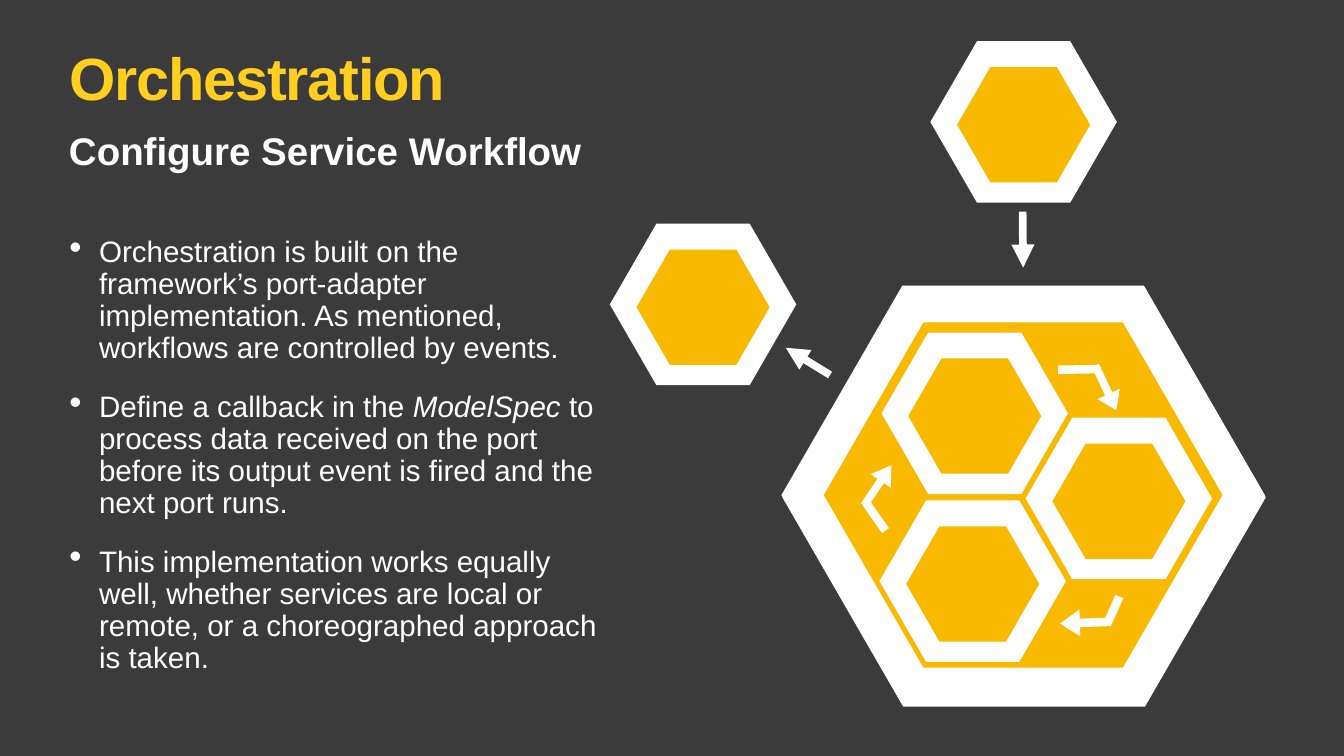
import pptx
import pptx.util
import pptx.dml.color
import pptx.enum.shapes
import pptx.enum.text
import pptx.oxml.ns
from lxml import etree

Pt = pptx.util.Pt
Shape = pptx.enum.shapes.MSO_SHAPE
Anchor = pptx.enum.text.MSO_ANCHOR

COLORS = {"back": "3B3B3B", "title": "FFCE1E", "white": "FFFFFF", "honey": "F9B900"}
TEXT_LEFT, TEXT_WIDTH = 95, 770
HEX_RATIO = 3 ** 0.5 / 2  # height to width of a regular hexagon
CELL_WIDTH, CORE_WIDTH, CORE_DROP = 266.4, 190, 4

BULLETS = [
    [("Orchestration is built on the framework’s port-adapter implementation. "
      "As mentioned, workflows are controlled by events.", False)],
    [("Define a callback in the ", False), ("ModelSpec", True),
     (" to process data received on the port before its output event is fired "
      "and the next port runs.", False)],
    [("This implementation works equally well, whether services are local or "
      "remote, or a choreographed approach is taken.", False)],
]

INNER_CELLS = [(1389.6, 830.2), (1392.5, 590.4), (1598.4, 712.1)]
OUTER_CELLS = [(1004.4, 434.9), (1462.3, 174.2)]

# Each bent arrow: head and bar as (centre x, centre y, width, height, angle)
BENT_ARROWS = [
    ((1579.7, 554, 70.6, 35.3, 65), (1539, 527.8, 12.2, 54.7, 89), 0.728),
    ((1549.1, 889.6, 69.8, 38.2, 178), (1590.1, 872.3, 12.2, 43.9, 204), 0.743),
    ((1253.9, 693.4, 69.8, 34.6, 304.1), (1251, 738, 12.2, 49, 325), 0.785),
]


def rgb(name):
    return pptx.dml.color.RGBColor.from_string(COLORS[name])


def add_xml(parent, tag, **attributes):
    return etree.SubElement(parent, pptx.oxml.ns.qn(tag), attributes)


class Painter:
    """Holds the style and the current slide."""

    def __init__(self, page, font="Arial"):
        self.page = page
        self.font = font
        page.background.fill.solid()
        page.background.fill.fore_color.rgb = rgb("back")

    def frame(self, box, inset, anchor=Anchor.TOP):
        frame = box.text_frame
        frame.word_wrap = True
        frame.auto_size = pptx.enum.text.MSO_AUTO_SIZE.NONE
        frame.vertical_anchor = anchor
        frame.margin_left = frame.margin_right = Pt(inset)
        frame.margin_top = frame.margin_bottom = Pt(inset)
        return frame

    def span(self, para, text, size, color="white", bold=False, italic=False):
        span = para.add_run()
        span.text = text
        span.font.name = self.font
        span.font.size = Pt(size)
        span.font.bold = bold
        span.font.italic = italic
        span.font.color.rgb = rgb(color)
        return span

    def title(self, text, top, height):
        box = self.page.shapes.title
        box.left, box.top = Pt(TEXT_LEFT), Pt(top)
        box.width, box.height = Pt(TEXT_WIDTH), Pt(height)
        para = self.frame(box, 4).paragraphs[0]
        para.alignment = pptx.enum.text.PP_ALIGN.LEFT
        para.line_spacing = 0.8
        span = self.span(para, text, 85, "title", bold=True)
        span.font._element.set("spc", "-170")

    def text_box(self, top, height):
        return self.page.shapes.add_textbox(
            Pt(TEXT_LEFT), Pt(top), Pt(TEXT_WIDTH), Pt(height))

    def subtitle(self, text, top, height):
        frame = self.frame(self.text_box(top, height), 3.6, Anchor.MIDDLE)
        self.span(frame.paragraphs[0], text, 55, bold=True)

    def bullets(self, items, top, height, indent=42.5):
        frame = self.frame(self.text_box(top, height), 4)
        for index, item in enumerate(items):
            para = frame.add_paragraph() if index else frame.paragraphs[0]
            properties = para._p.get_or_add_pPr()
            properties.set("marL", str(Pt(indent)))
            properties.set("indent", str(-Pt(indent)))
            add_xml(properties, "a:buSzPct", val="123000")
            add_xml(properties, "a:buChar", char="•")
            para.line_spacing = 0.9
            if index:
                para.space_before = Pt(39)
            for text, italic in item:
                self.span(para, text, 42.2, italic=italic)

    def shape(self, kind, x, y, width, height, angle=0, color="white"):
        """Add a filled shape centred on x, y."""
        shape = self.page.shapes.add_shape(
            kind, Pt(x - width / 2), Pt(y - height / 2), Pt(width), Pt(height))
        shape.rotation = angle
        shape.shadow.inherit = False
        shape.fill.solid()
        shape.fill.fore_color.rgb = rgb(color)
        shape.line.fill.background()
        return shape

    def hexagon(self, x, y, width, color):
        height = width * HEX_RATIO
        shape = self.shape(Shape.HEXAGON, x, y, width, height, color=color)
        shape.adjustments[0] = width / 4 / height

    def cell(self, x, y):
        self.hexagon(x, y, CELL_WIDTH, "white")
        self.hexagon(x, y + CORE_DROP, CORE_WIDTH, "honey")

    def bent_arrow(self, head, bar, head_length):
        arrow = self.shape(Shape.RIGHT_ARROW, *head)
        arrow.adjustments[0] = 0.32
        arrow.adjustments[1] = head_length
        self.shape(Shape.RECTANGLE, *bar)

    def arrow(self, x1, y1, x2, y2):
        line = self.page.shapes.add_connector(
            pptx.enum.shapes.MSO_CONNECTOR.STRAIGHT, Pt(x1), Pt(y1), Pt(x2), Pt(y2))
        line.line.width = Pt(11)
        line.line.color.rgb = rgb("white")
        add_xml(line.line._get_or_add_ln(), "a:tailEnd", type="triangle")
        add_xml(line._element.spPr, "a:effectLst")


def main():
    deck = pptx.Presentation()
    deck.slide_width, deck.slide_height = Pt(1920), Pt(1080)
    painter = Painter(deck.slides.add_slide(deck.slide_layouts[5]))

    painter.title("Orchestration", 75, 113)
    painter.subtitle("Configure Service Workflow", 177, 73.5)

    painter.hexagon(1463, 710.6, 690.5, "white")
    painter.arrow(1185.8, 535.7, 1122.5, 496.8)
    painter.hexagon(1461.6, 707.2, 690.5, "white")
    painter.hexagon(1461.6, 707.2, 569.5, "honey")
    for x, y in INNER_CELLS:
        painter.cell(x, y)
    for head, bar, head_length in BENT_ARROWS:
        painter.bent_arrow(head, bar, head_length)
    for x, y in OUTER_CELLS:
        painter.cell(x, y)
    painter.arrow(1460.9, 302.4, 1461.6, 382.3)

    painter.bullets(BULLETS, 335, 650)
    deck.save("out.pptx")


if __name__ == "__main__":
    main()
